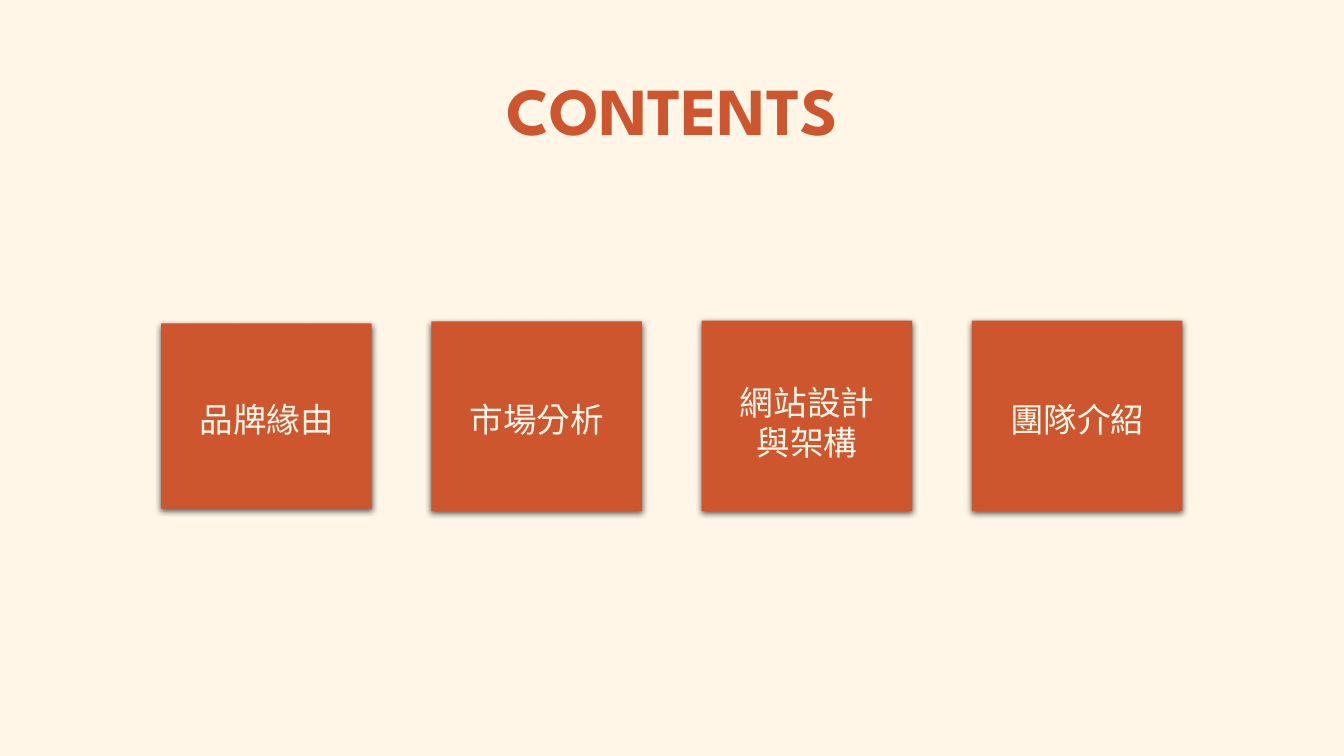
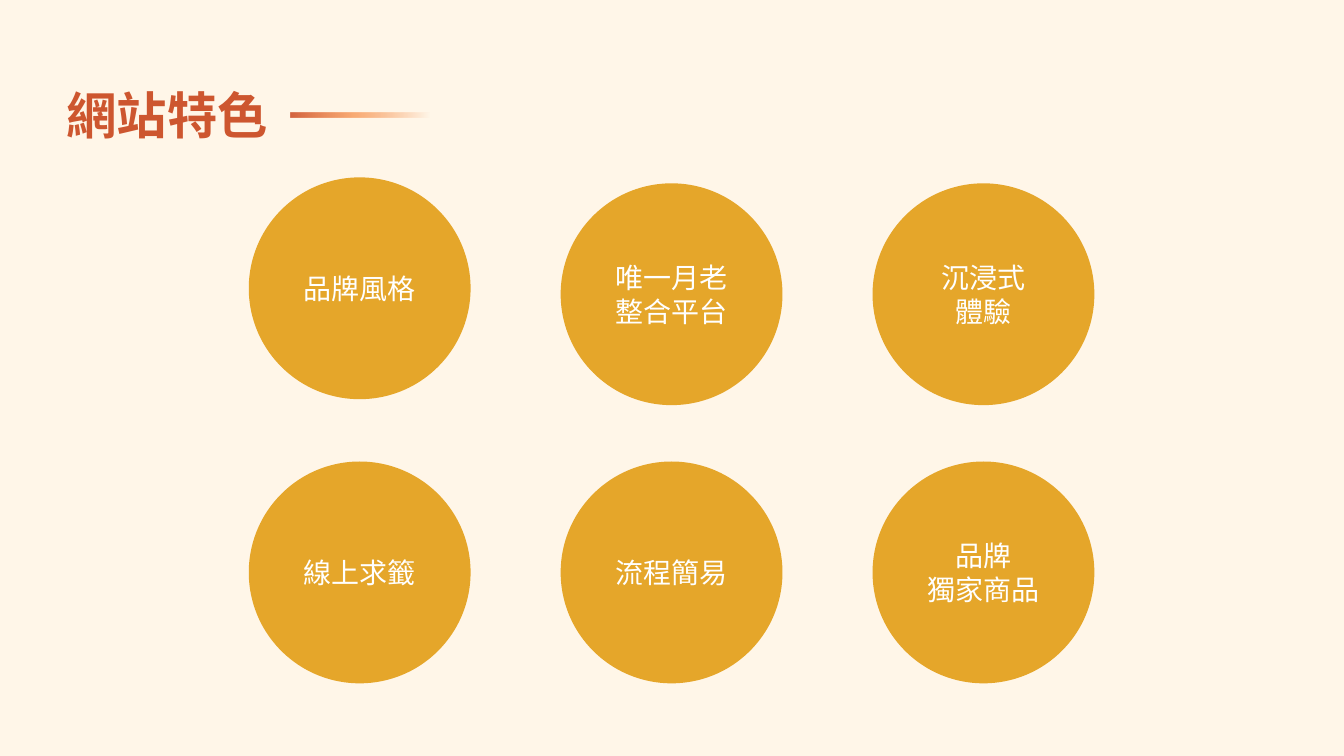
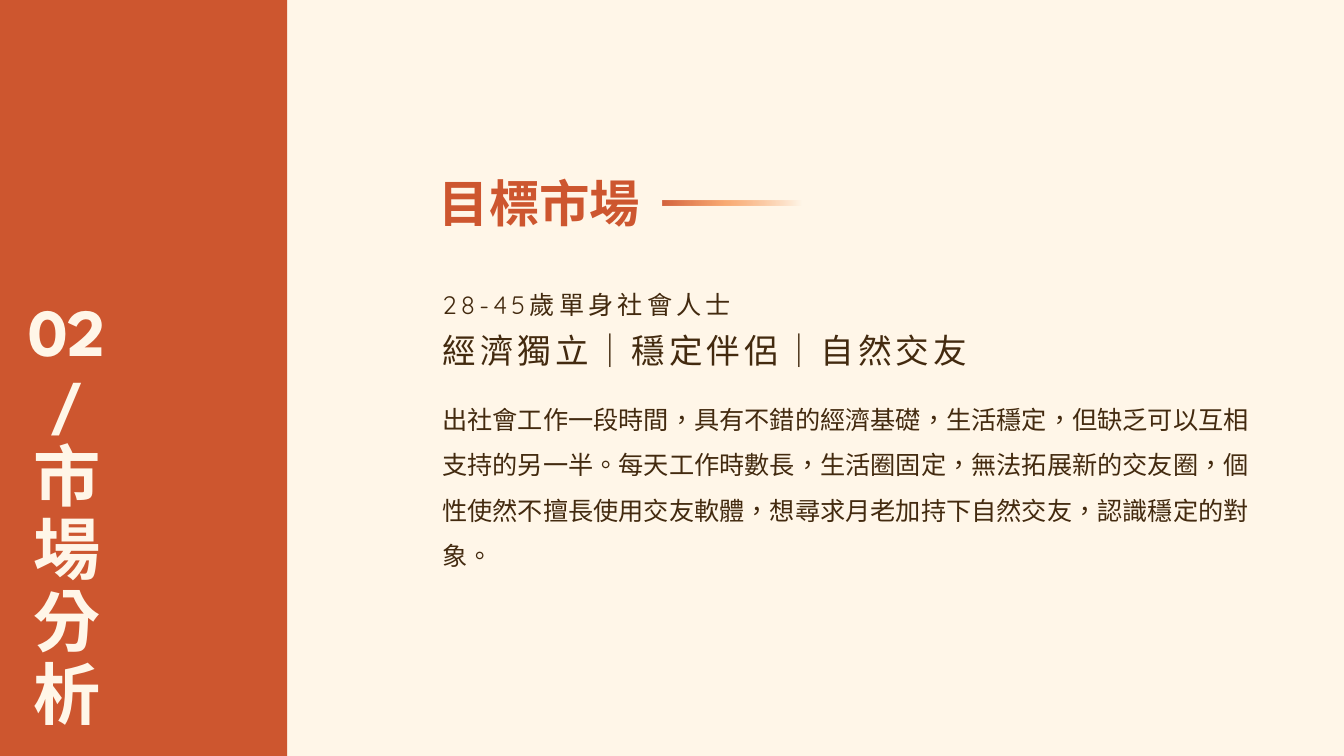
"""Build three slides of a brand website proposal."""
from lxml import etree
from pptx import Presentation
from pptx.dml.color import RGBColor
from pptx.enum.lang import MSO_LANGUAGE_ID
from pptx.enum.shapes import MSO_SHAPE
from pptx.enum.text import MSO_ANCHOR, MSO_AUTO_SIZE, PP_ALIGN
from pptx.oxml import parse_xml
from pptx.oxml.ns import nsdecls
from pptx.util import Cm, Pt

RECTANGLE, OVAL = MSO_SHAPE.RECTANGLE, MSO_SHAPE.OVAL
LEFT, CENTER = PP_ALIGN.LEFT, PP_ALIGN.CENTER
TOP, MIDDLE = MSO_ANCHOR.TOP, MSO_ANCHOR.MIDDLE
GROW, FIXED = MSO_AUTO_SIZE.SHAPE_TO_FIT_TEXT, MSO_AUTO_SIZE.NONE
TAIWAN = MSO_LANGUAGE_ID.TRADITIONAL_CHINESE

CREAM, RUST, GOLD, BROWN, WHITE = "FFF6E8", "CD562F", "E5A62A", "432A0F", "FFFFFF"
HEADING, LABEL, BODY = "League Spartan", "Quicksand", "TeX Gyre Adventor"

CONTENTS = [
    (["品牌緣由"], 8.15, 4.67, 9.93),
    (["市場分析"], 8.1, 4.78, 9.93),
    (["網站設計", "與架構"], 8.08, 4.8, 9.5),
    (["團隊介紹"], 8.08, 4.8, 9.93),
]
FEATURES = [
    (["品牌風格"], 4.47),
    (["唯一月老", "整合平台"], 4.62),
    (["沉浸式", "體驗"], 4.62),
    (["線上求籤"], 11.63),
    (["流程簡易"], 11.63),
    (["品牌", "獨家商品"], 11.63),
]
MARKET = [
    ("28-45歲單身社會人士", (10.9, 7.16, 7.98, 1.02),
     {"size": 18, "face": LABEL, "spread": 3, "wrap": False}),
    ("經濟獨立｜穩定伴侶｜自然交友", (10.9, 8.2, 14.27, 1.27),
     {"size": 24, "face": LABEL, "spread": 3, "wrap": False}),
    ("出社會工作一段時間，具有不錯的經濟基礎，生活穩定，但缺乏可以互相支持的另一半。"
     "每天工作時數長，生活圈固定，無法拓展新的交友圈，個性使然不擅長使用交友軟體，"
     "想尋求月老加持下自然交友，認識穩定的對象。", (10.9, 9.68, 21.29, 4.75),
     {"size": 18, "face": BODY, "spacing": 1.5}),
]
CHAPTER = ["02/市", "場", "分", "析"]

SHADOW = f"""<a:effectLst {nsdecls('a')}>
<a:outerShdw blurRad="57150" dist="19050" dir="5400000" algn="ctr" rotWithShape="0">
<a:srgbClr val="000000"><a:alpha val="63000"/></a:srgbClr></a:outerShdw></a:effectLst>"""
FADE = f"""<a:gradFill rotWithShape="1" {nsdecls('a')}><a:gsLst>
<a:gs pos="0"><a:srgbClr val="D3633F"/></a:gs>
<a:gs pos="46000"><a:srgbClr val="F89857"><a:alpha val="79000"/></a:srgbClr></a:gs>
<a:gs pos="100000"><a:srgbClr val="{CREAM}"/></a:gs>
</a:gsLst><a:lin ang="0" scaled="0"/></a:gradFill>"""


def paint(target, color):
    """Give a fill or a font one solid colour."""
    fill = getattr(target, "fill", target)
    fill.solid()
    fill.fore_color.rgb = RGBColor.from_string(color)


def write(box, lines, size, color, face, align=LEFT, anchor=TOP, spacing=1.0,
          bold=False, wrap=True, grow=FIXED, spread=0):
    """Write one paragraph per line with a common format."""
    frame = box.text_frame
    for name, value in {"word_wrap": wrap, "auto_size": grow, "vertical_anchor": anchor}.items():
        setattr(frame, name, value)
    for index, line in enumerate(lines):
        para = frame.add_paragraph() if index else frame.paragraphs[0]
        para.alignment, para.line_spacing = align, spacing
        span = para.add_run()
        span.text = line
        style = {"size": Pt(size), "name": face, "bold": bold, "language_id": TAIWAN}
        for name, value in style.items():
            setattr(span.font, name, value)
        paint(span.font, color)
        if spread:
            span.font._element.set("spc", str(spread * 100))


def add_shape(shapes, kind, place, color):
    """Add a flat shape without outline."""
    shape = shapes.add_shape(kind, *map(Cm, place))
    shape.shadow.inherit = False
    shape.line.fill.background()
    paint(shape, color)
    return shape


def add_text(shapes, lines, place, **style):
    """Add a text box."""
    write(shapes.add_textbox(*map(Cm, place)), lines, **style)


def add_page(deck, title, place, size, align=LEFT):
    """Add a title-only slide with its heading."""
    page = deck.slides.add_slide(deck.slide_layouts[5])
    box = page.shapes.title
    for name, value in zip(("left", "top", "width", "height"), place):
        setattr(box, name, Cm(value))
    write(box, [title], size, RUST, HEADING, align, MIDDLE, 0.9, True)
    return page


def add_accent_page(deck, title, left, top):
    """Add a slide whose heading is followed by a fading bar."""
    page = add_page(deck, title, (left, top, 6.32, 3.68), 36)
    bar = add_shape(page.shapes, RECTANGLE, (left + 5.9, top + 1.7, 3.51, 0.13), RUST)
    properties = bar._element.spPr
    properties.replace(properties.find("{*}solidFill"), parse_xml(FADE))
    return page


def build_contents(deck):
    """Lay out the four chapter squares."""
    page = add_page(deck, "CONTENTS", (2.33, 1.02, 29.21, 3.68), 48, CENTER)
    for index, (lines, top, height, label_top) in enumerate(CONTENTS):
        left = 4.06 + 6.81 * index
        shapes = page.shapes.add_group_shape().shapes
        square = add_shape(shapes, RECTANGLE, (left, top, 5.31, height), RUST)
        properties = square._element.spPr
        properties.replace(properties.find("{*}effectLst"), etree.fromstring(SHADOW))
        add_text(shapes, lines, (left + 0.69, label_top, 3.94, 0.24 + 1.03 * len(lines)),
                 size=24, color=CREAM, face=LABEL, align=CENTER, wrap=False, grow=GROW)


def build_features(deck):
    """Lay out the feature circles in three columns."""
    page = add_accent_page(deck, "網站特色", 1.42, 1.14)
    for index, (lines, top) in enumerate(FEATURES):
        left = 6.27 + 7.86 * (index % 3)
        circle = add_shape(page.shapes, OVAL, (left, top, 5.59, 5.59), GOLD)
        write(circle, lines, 20, WHITE, LABEL, CENTER, MIDDLE)


def build_market(deck):
    """Lay out the target market beside the chapter band."""
    page = add_accent_page(deck, "目標市場", 10.8, 3.35)
    for text, place, style in MARKET:
        add_text(page.shapes, [text], place, color=BROWN, grow=GROW, **style)
    add_shape(page.shapes, RECTANGLE, (0, 0, 7.24, 19.05), RUST)
    add_text(page.shapes, CHAPTER, (0.38, 7.75, 2.62, 10.52), size=48, color=CREAM,
             face=HEADING, align=CENTER, anchor=MIDDLE, spacing=0.9, bold=True)


def main():
    """Build and save the deck."""
    deck = Presentation()
    deck.slide_width, deck.slide_height = Cm(33.87), Cm(19.05)
    paint(deck.slide_master.background, CREAM)
    for build in (build_contents, build_features, build_market):
        build(deck)
    deck.save("out.pptx")


if __name__ == "__main__":
    main()
